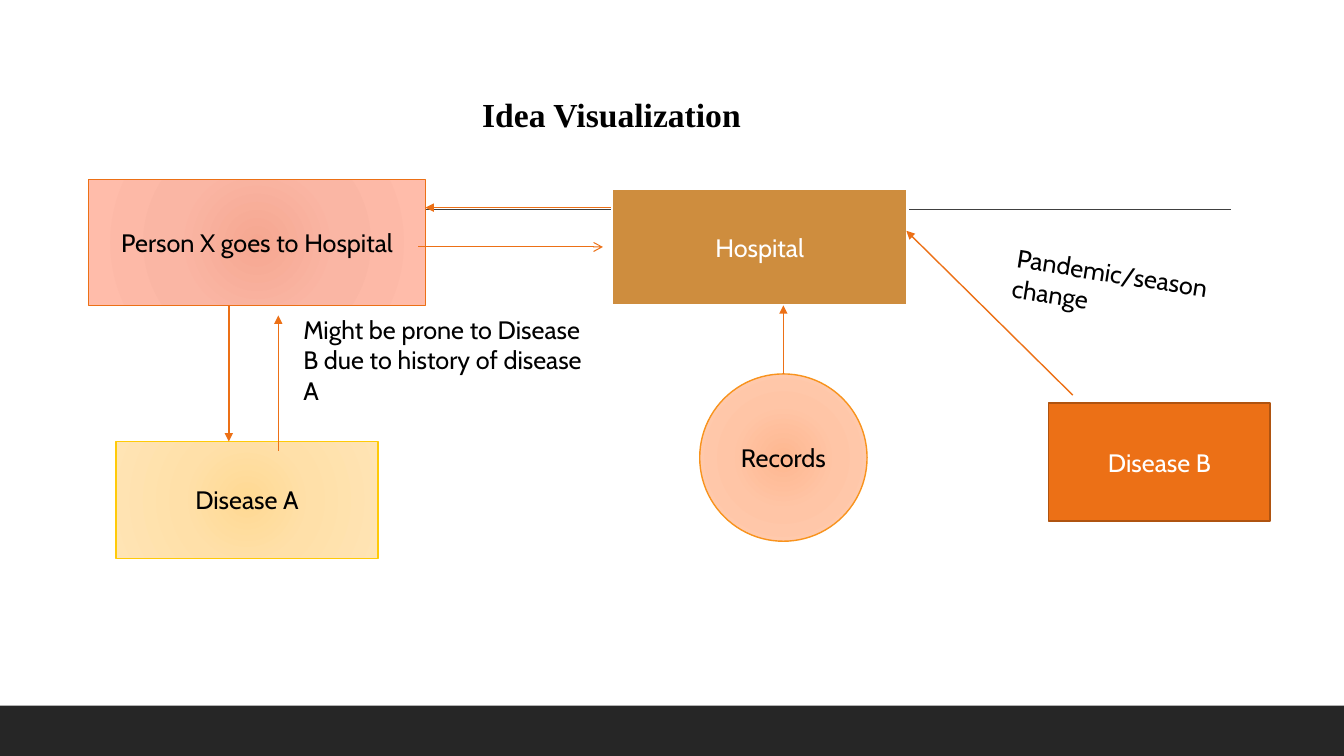
from pptx import Presentation
from pptx import util as u
from pptx.dml.color import RGBColor
from pptx.enum import shapes, text
from pptx.oxml import parse_xml
from pptx.oxml.ns import nsdecls, qn
from lxml import etree

ORANGE, BLACK, WHITE = "EC7016", "000000", "FFFFFF"
RECT, OVAL = shapes.MSO_SHAPE.RECTANGLE, shapes.MSO_SHAPE.OVAL
LEFT, CENTER = text.PP_ALIGN.LEFT, text.PP_ALIGN.CENTER

FOOTER_BAR = ((0, 7, 13.33, 0.5), "262626")
RULE = ((1.31, 2.08), (12.21, 2.08), "404040", 1, None)

# wording, (left, top, width, height), shape, fill or gradient, line, line width, text colour
NODES = [
    ("Person X goes to Hospital", (0.88, 1.78, 3.34, 1.25), RECT,
     ("F6A791", "FAB6A4", "FFBCAA"), ORANGE, 1, BLACK),
    ("Hospital", (6.07, 1.87, 2.93, 1.16), RECT, "CE8D3E", WHITE, 2, WHITE),
    ("Disease A", (1.15, 4.38, 2.6, 1.16), RECT,
     ("FFD993", "FFE0A9", "FFE4B4"), "FFCA08", 1, BLACK),
    ("Records", (6.94, 3.71, 1.66, 1.66), OVAL,
     ("FEB790", "FFC5A6", "FFCCB1"), "F8931D", 1, BLACK),
    ("Disease B", (10.4, 4, 2.2, 1.17), RECT, ORANGE, "AF5310", 1.25, WHITE),
]
GRADIENT_STOPS = (0, 45, 100)

# start, end, colour, width, arrowhead
ARROWS = [
    ((4.15, 2.45), (5.98, 2.45), ORANGE, 0.75, "arrow"),
    ((2.27, 3.03), (2.27, 4.38), ORANGE, 1, "triangle"),
    ((2.76, 4.47), (2.76, 3.13), ORANGE, 1, "triangle"),
    ((10.64, 3.92), (8.99, 2.29), ORANGE, 1, "triangle"),
    ((6.06, 2.06), (4.22, 2.06), ORANGE, 1, "triangle"),
]
RECORDS_ARROW = ((7.77, 3.71), (7.77, 3.03), ORANGE, 1, "triangle")

# wording, (left, top, width, height), rotation, alignment, size, font, bold
LABELS = [
    ("Idea Visualization", (4.43, 0.88, 3.27, 0.5), 0, CENTER, 24, "Times New Roman", True),
    ("Pandemic/season change", (9.95, 2.57, 2.91, 0.71), 9.1, LEFT, 18, "Cabin", False),
    ("Might be prone to Disease B due to history of disease A",
     (2.91, 3.07, 3.03, 1.01), 0, LEFT, 18, "Cabin", False),
]


def rgb(value):
    return RGBColor.from_string(value)


def inches(values):
    return [u.Inches(value) for value in values]


def write(shape, wording, align, size, font, color, bold=False):
    shape.text_frame.word_wrap = True
    paragraph = shape.text_frame.paragraphs[0]
    paragraph.alignment = align
    run = paragraph.add_run()
    run.text = wording
    run.font.size = u.Pt(size)
    run.font.name = font
    run.font.bold = bold
    run.font.color.rgb = rgb(color)


def fill_radial(shape, colors):
    """Fill with a gradient that spreads in circles from the middle."""
    shape.fill.gradient()
    stops = "".join(
        f'<a:gs pos="{stop * 1000}"><a:srgbClr val="{color}"/></a:gs>'
        for stop, color in zip(GRADIENT_STOPS, colors))
    gradient = parse_xml(
        f'<a:gradFill {nsdecls("a")} rotWithShape="1"><a:gsLst>{stops}</a:gsLst>'
        '<a:path path="circle"><a:fillToRect l="100000" t="100000" r="100000" b="100000"/>'
        '</a:path></a:gradFill>')
    properties = shape._element.spPr
    properties.replace(properties.find(qn("a:gradFill")), gradient)


def add_block(slide, kind, place, fill):
    block = slide.shapes.add_shape(kind, *inches(place))
    block.shadow.inherit = False
    if isinstance(fill, tuple):
        fill_radial(block, fill)
    else:
        block.fill.solid()
        block.fill.fore_color.rgb = rgb(fill)
    return block


def add_line(slide, start, end, color, width, head):
    line = slide.shapes.add_connector(
        shapes.MSO_CONNECTOR.STRAIGHT, *inches(start + end))
    line.line.color.rgb = rgb(color)
    line.line.width = u.Pt(width)
    if head:
        etree.SubElement(line.line._get_or_add_ln(), qn("a:tailEnd"), type=head)
    etree.SubElement(line._element.spPr, qn("a:effectLst"))
    return line


def main():
    deck = Presentation()
    deck.slide_width, deck.slide_height = inches((13.33, 7.5))
    slide = deck.slides.add_slide(deck.slide_layouts[6])

    add_block(slide, RECT, *FOOTER_BAR).line.fill.background()
    add_line(slide, *RULE)

    nodes = {}
    for wording, place, kind, fill, outline, width, color in NODES:
        node = add_block(slide, kind, place, fill)
        node.line.color.rgb = rgb(outline)
        node.line.width = u.Pt(width)
        node.text_frame.vertical_anchor = text.MSO_ANCHOR.MIDDLE
        write(node, wording, CENTER, 18, "Cabin", color)
        nodes[wording] = node

    for arrow in ARROWS:
        add_line(slide, *arrow)
    add_line(slide, *RECORDS_ARROW).begin_connect(nodes["Records"], 0)

    for wording, place, rotation, align, size, font, bold in LABELS:
        label = slide.shapes.add_textbox(*inches(place))
        label.rotation = rotation
        label.text_frame.auto_size = text.MSO_AUTO_SIZE.SHAPE_TO_FIT_TEXT
        write(label, wording, align, size, font, BLACK, bold)

    deck.save("out.pptx")


if __name__ == "__main__":
    main()
